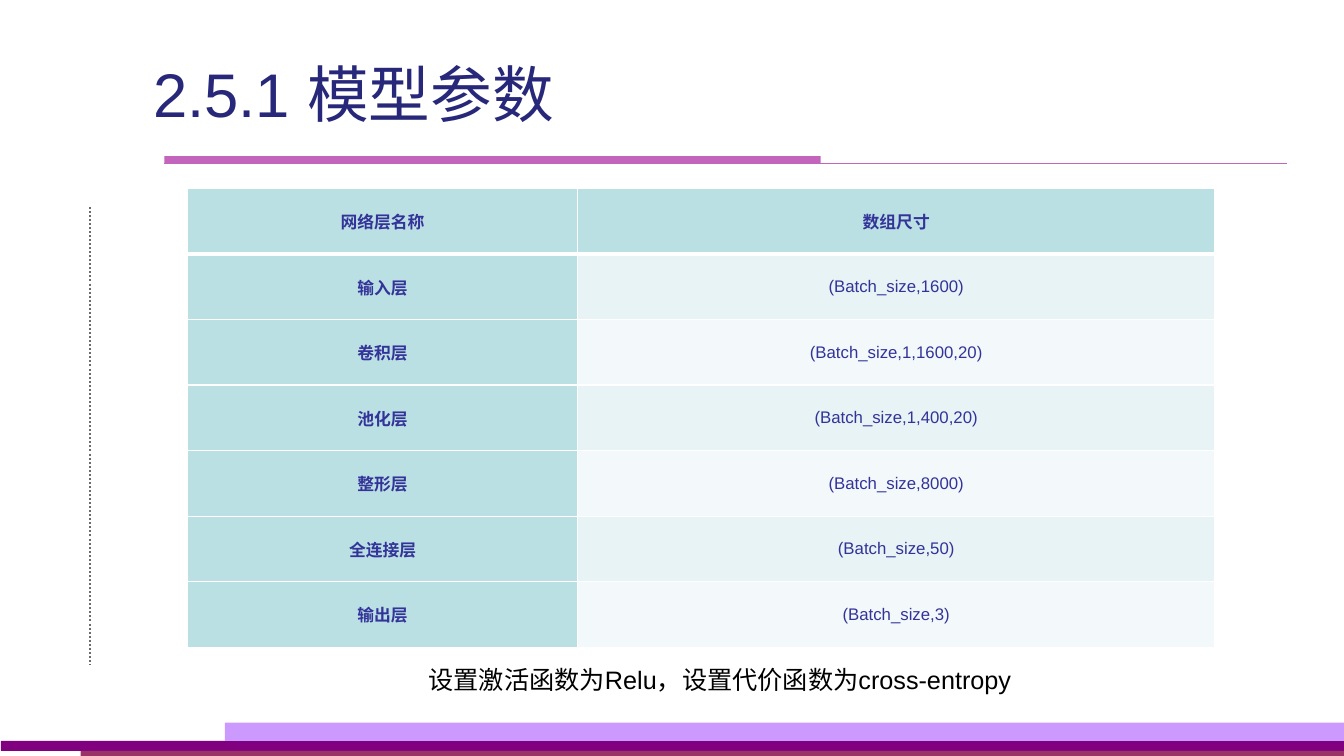
from lxml import etree
from pptx import Presentation
from pptx.dml.color import RGBColor
from pptx.enum.dml import MSO_LINE
from pptx.enum.shapes import MSO_CONNECTOR, MSO_SHAPE
from pptx.enum.text import MSO_ANCHOR, PP_ALIGN
from pptx.oxml import parse_xml
from pptx.oxml.ns import nsdecls, qn
from pptx.util import Inches, Pt

MIDDLE = MSO_ANCHOR.MIDDLE
CENTER = PP_ALIGN.CENTER
WIDTH, HEIGHT = 13.33, 7.5


def paint(color_format, hex_color):
    color_format.rgb = RGBColor.from_string(hex_color)


def write(frame, text, size, hex_color, bold=False):
    """Fill a text frame with one formatted paragraph and return it."""
    frame.text = text
    para = frame.paragraphs[0]
    font = para.runs[0].font
    font.name, font.size, font.bold = "Arial", Pt(size), bold
    paint(font.color, hex_color)
    return para


deck = Presentation()
deck.slide_width, deck.slide_height = Inches(WIDTH), Inches(HEIGHT)
page = deck.slides.add_slide(deck.slide_layouts[6])

# Footer bands run to the right edge; the pink bar sits under the title
bands = [
    (0.01, 7.35, WIDTH - 0.01, 0.1, "800080"),
    (0.8, 7.45, WIDTH - 0.8, 0.05, "993366"),
    (2.23, 7.17, WIDTH - 2.23, 0.18, "CC99FF"),
    (1.63, 1.55, 6.51, 0.07, "C365BC"),
]
for left, top, width, height, color in bands:
    band = page.shapes.add_shape(
        MSO_SHAPE.RECTANGLE, Inches(left), Inches(top), Inches(width), Inches(height)
    )
    band.shadow.inherit = False
    band.fill.solid()
    paint(band.fill.fore_color, color)
    band.line.fill.background()

rules = [
    (0.89, 2.05, 0.89, 6.59, "6B6C69", 1.45, MSO_LINE.ROUND_DOT),
    (1.63, 1.62, 12.76, 1.62, "C365BC", 0.75, MSO_LINE.SOLID),
]
for x1, y1, x2, y2, color, weight, dash in rules:
    rule = page.shapes.add_connector(
        MSO_CONNECTOR.STRAIGHT, Inches(x1), Inches(y1), Inches(x2), Inches(y2)
    )
    paint(rule.line.color, color)
    rule.line.width = Pt(weight)
    rule.line.dash_style = dash
    etree.SubElement(rule._element.spPr, qn("a:effectLst"))

title = page.shapes.add_textbox(Inches(1.42), Inches(0.3), Inches(11.44), Inches(1.25))
title.text_frame.word_wrap = True
title.text_frame.vertical_anchor = MIDDLE
write(title.text_frame, "2.5.1 模型参数", 44, "28287A")

layers = [
    ("网络层名称", "数组尺寸"),
    ("输入层", "(Batch_size,1600)"),
    ("卷积层", "(Batch_size,1,1600,20)"),
    ("池化层", "(Batch_size,1,400,20)"),
    ("整形层", "(Batch_size,8000)"),
    ("全连接层", "(Batch_size,50)"),
    ("输出层", "(Batch_size,3)"),
]
table = page.shapes.add_table(
    len(layers), 2, Inches(1.86), Inches(1.87), Inches(10.19), Inches(4.55)
).table
for column, width in zip(table.columns, (3.87, 6.32)):
    column.width = Inches(width)

for row, layer in enumerate(layers):
    table.rows[row].height = Inches(0.65)
    for col, text in enumerate(layer):
        cell = table.cell(row, col)
        heading = row == 0 or col == 0
        band_color = "E7F3F4" if row % 2 else "F3F9FA"
        cell.fill.solid()
        paint(cell.fill.fore_color, "BBE0E3" if heading else band_color)
        cell.vertical_anchor = MIDDLE
        cell.margin_left = cell.margin_right = Inches(0.07)
        cell.margin_top = cell.margin_bottom = 0
        write(cell.text_frame, text, 12, "333399", heading).alignment = CENTER
        borders = {
            "lnL": 1,
            "lnR": 1,
            "lnT": 3 if row == 1 else 1,
            "lnB": 3 if row == 0 else 1,
        }
        for place, (side, weight) in enumerate(borders.items()):
            border = parse_xml(
                f'<a:{side} {nsdecls("a")} w="{Pt(weight)}"><a:solidFill>'
                f'<a:srgbClr val="FFFFFF"/></a:solidFill></a:{side}>'
            )
            cell._tc.get_or_add_tcPr().insert(place, border)

caption = page.shapes.add_textbox(Inches(4.12), Inches(6.54), Inches(6.04), Inches(0.4))
caption.text_frame.word_wrap = True
caption_text = "设置激活函数为Relu，设置代价函数为cross-entropy"
write(caption.text_frame, caption_text, 18, "000000").alignment = CENTER

deck.save("out.pptx")
